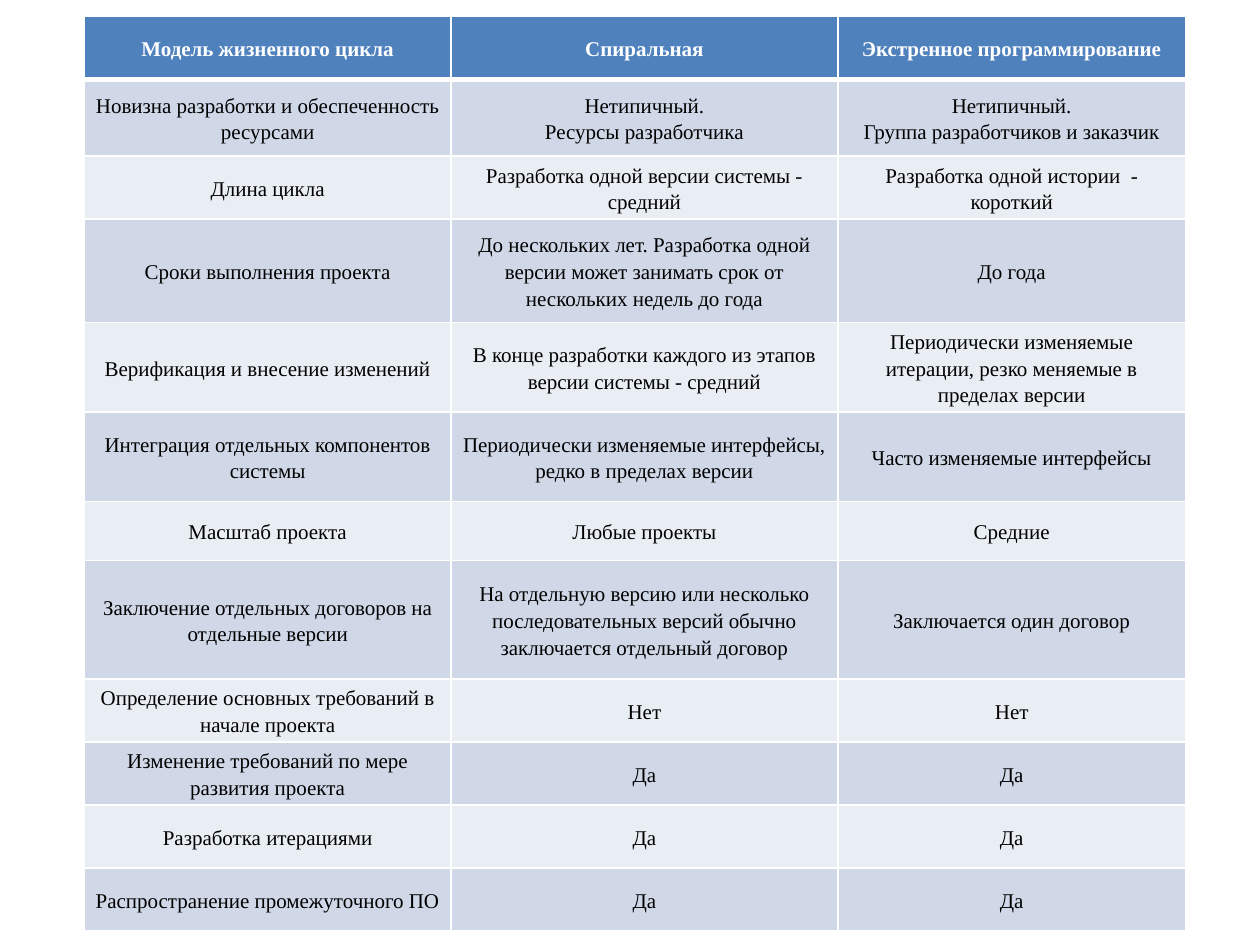
from lxml import etree
from pptx import Presentation
from pptx.dml.color import RGBColor
from pptx.enum.text import MSO_ANCHOR, PP_ALIGN
from pptx.oxml.ns import qn
from pptx.util import Inches, Pt

MIDDLE = MSO_ANCHOR.MIDDLE
CENTER = PP_ALIGN.CENTER
WHITE, BLACK = "FFFFFF", "000000"
HEAD, DARK, LIGHT = "4F81BD", "D0D8E8", "E9EDF4"
COLS = [2.91, 3.07, 2.76]
ROWS = [
    (0.5, "Модель жизненного цикла", "Спиральная",
     "Экстренное программирование"),
    (0.61, "Новизна разработки и обеспеченность ресурсами",
     "Нетипичный.\nРесурсы разработчика",
     "Нетипичный.\nГруппа разработчиков и заказчик"),
    (0.5, "Длина цикла", "Разработка одной версии системы - средний",
     "Разработка одной истории  - короткий"),
    (0.82, "Сроки выполнения проекта",
     "До нескольких лет. Разработка одной версии может занимать срок "
     "от нескольких недель до года", "До года"),
    (0.71, "Верификация и внесение изменений",
     "В конце разработки каждого из этапов версии системы - средний",
     "Периодически изменяемые итерации, резко меняемые в пределах версии"),
    (0.71, "Интеграция отдельных компонентов системы",
     "Периодически изменяемые интерфейсы, редко в пределах версии",
     "Часто изменяемые интерфейсы"),
    (0.47, "Масштаб проекта", "Любые проекты", "Средние"),
    (0.94, "Заключение отдельных договоров на отдельные версии",
     "На отдельную версию или несколько последовательных версий обычно "
     "заключается отдельный договор", "Заключается один договор"),
    (0.5, "Определение основных требований в начале проекта", "Нет", "Нет"),
    (0.5, "Изменение требований по мере развития проекта", "Да", "Да"),
    (0.5, "Разработка итерациями", "Да", "Да"),
    (0.5, "Распространение промежуточного ПО", "Да", "Да"),
]
CELL = {
    "vertical_anchor": MIDDLE,
    "margin_left": Inches(0.07),
    "margin_right": Inches(0.07),
    "margin_top": 0,
    "margin_bottom": 0,
}
PARA = {"alignment": CENTER, "line_spacing": 1.15}
FONT = {"name": "Times New Roman", "size": Pt(12)}


def paint(color, code):
    """Set a colour format from a hex string."""
    color.rgb = RGBColor.from_string(code)


def edge(cell, side, width):
    """Draw one white border of a cell, width in points."""
    line = etree.SubElement(cell._tc.get_or_add_tcPr(), qn("a:ln" + side),
                            w=str(Pt(width)))
    fill = etree.SubElement(line, qn("a:solidFill"))
    etree.SubElement(fill, qn("a:srgbClr"), val=WHITE)


deck = Presentation()
deck.slide_width, deck.slide_height = Inches(10), Inches(7.5)
slide = deck.slides.add_slide(deck.slide_layouts[6])
high = sum(row[0] for row in ROWS)
table = slide.shapes.add_table(
    len(ROWS), len(COLS), Inches(0.67), Inches(0.13),
    Inches(sum(COLS)), Inches(high)).table

for col, width in zip(table.columns, COLS):
    col.width = Inches(width)

for r, (height, *texts) in enumerate(ROWS):
    table.rows[r].height = Inches(height)
    back = HEAD if r == 0 else DARK if r % 2 else LIGHT
    for c, text in enumerate(texts):
        cell = table.cell(r, c)
        for key, value in CELL.items():
            setattr(cell, key, value)
        for side in "LRTB":
            thick = (r, side) in ((0, "B"), (1, "T"))
            edge(cell, side, 3 if thick else 1)
        cell.fill.solid()
        paint(cell.fill.fore_color, back)
        cell.text_frame.text = text
        for para in cell.text_frame.paragraphs:
            for key, value in PARA.items():
                setattr(para, key, value)
            if c == 0 and r >= len(ROWS) - 2:
                para.space_after = Pt(10)
            font = para.runs[0].font
            for key, value in FONT.items():
                setattr(font, key, value)
            font.bold = r == 0
            paint(font.color, WHITE if r == 0 else BLACK)

deck.save("out.pptx")
